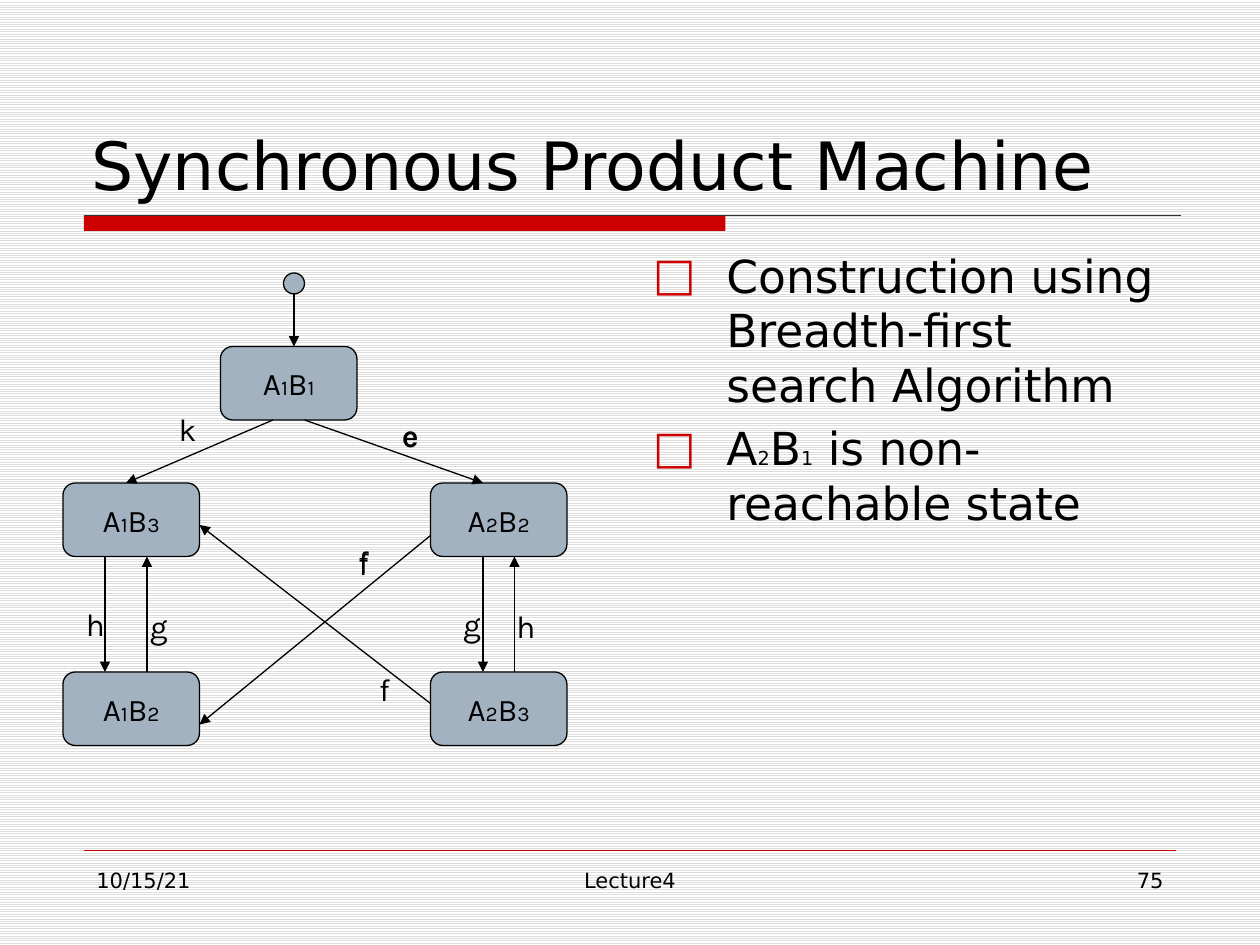
from itertools import groupby

from lxml.etree import SubElement
from pptx import Presentation
from pptx.dml.color import RGBColor
from pptx.enum.dml import MSO_PATTERN
from pptx.enum.shapes import MSO_CONNECTOR, MSO_SHAPE
from pptx.enum.text import MSO_ANCHOR, MSO_AUTO_SIZE, PP_ALIGN
from pptx.oxml.ns import qn
from pptx.util import Pt


def tint(code):
    return RGBColor.from_string(code)


class Sheet:
    sans, hand = "DejaVu Sans", "Karla"
    ink, red, steel = "000000", "CC0000", "A3B2C1"

    def __init__(self, slide):
        self.slide = slide

    def back(self, fore, base):
        fill = self.slide.background.fill
        fill.patterned()
        fill.pattern = MSO_PATTERN.LIGHT_HORIZONTAL
        fill.fore_color.rgb = tint(fore)
        fill.back_color.rgb = tint(base)

    def words(self, para, text, face, size, small=None, align=PP_ALIGN.LEFT, bold=False):
        """Fill a paragraph; digits become index runs when small is given."""
        para.alignment = align
        font = para.font
        font.name, font.size, font.bold = face, Pt(size), bold
        font.color.rgb = tint(self.ink)
        if small is None:
            para.add_run().text = text
            return
        for digit, part in groupby(text, str.isdigit):
            run = para.add_run()
            run.text = "".join(part)
            run.font.size = Pt(small if digit else size)

    def title(self, text, *box):
        shape = self.slide.shapes.title
        shape.left, shape.top, shape.width, shape.height = map(Pt, box)
        frame = shape.text_frame
        frame.auto_size = MSO_AUTO_SIZE.NONE
        frame.vertical_anchor = MSO_ANCHOR.BOTTOM
        self.words(frame.paragraphs[0], text, self.sans, 38)

    def frame(self, box, wrap=True):
        frame = self.slide.shapes.add_textbox(*map(Pt, box)).text_frame
        frame.word_wrap = wrap
        return frame

    def note(self, text, box, align):
        self.words(self.frame(box).paragraphs[0], text, self.sans, 12, align=align)

    def label(self, text, left, top, bold=False):
        frame = self.frame((left, top, 24, 28.8), False)
        self.words(frame.paragraphs[0], text, self.hand, 18, bold=bold)

    def points(self, texts, box):
        frame = self.frame(box)
        for num, text in enumerate(texts):
            para = frame.add_paragraph() if num else frame.paragraphs[0]
            if num:
                para.space_before = Pt(5.2)
            props = para._p.get_or_add_pPr()
            props.set("marL", str(Pt(42)))
            props.set("indent", str(-Pt(42)))
            color = SubElement(props, qn("a:buClr"))
            SubElement(color, qn("a:srgbClr"), val=self.red)
            SubElement(props, qn("a:buFont"), typeface=self.sans)
            SubElement(props, qn("a:buChar"), char="□")
            self.words(para, text, self.sans, 26, 11)

    def shape(self, kind, box, fill, edge=True):
        shape = self.slide.shapes.add_shape(kind, *map(Pt, box))
        shape.shadow.inherit = False
        shape.fill.solid()
        shape.fill.fore_color.rgb = tint(fill)
        if edge:
            shape.line.color.rgb = tint(self.ink)
            shape.line.width = Pt(0.75)
        else:
            shape.line.fill.background()
        return shape

    def state(self, name, left, top):
        shape = self.shape(MSO_SHAPE.ROUNDED_RECTANGLE, (left, top, 78, 42), self.steel)
        frame = shape.text_frame
        frame.word_wrap = False
        frame.vertical_anchor = MSO_ANCHOR.MIDDLE
        self.words(frame.paragraphs[0], name, self.hand, 18, 12, PP_ALIGN.CENTER)

    def line(self, ends, color, width=0.75, arrow=False):
        link = self.slide.shapes.add_connector(MSO_CONNECTOR.STRAIGHT, *map(Pt, ends))
        link.line.color.rgb = tint(color)
        link.line.width = Pt(width)
        props = link._element.spPr
        if arrow:
            SubElement(props.find(qn("a:ln")), qn("a:tailEnd"), type="triangle")
        SubElement(props, qn("a:effectLst"))


def main():
    deck = Presentation()
    deck.slide_width, deck.slide_height = Pt(720), Pt(540)
    sheet = Sheet(deck.slides.add_slide(deck.slide_layouts[5]))
    sheet.back("DDDDDD", "FFFFFF")

    sheet.shape(MSO_SHAPE.RECTANGLE, (48, 123, 366.5, 9), sheet.red, False)
    sheet.line((48, 123, 675, 123), "333333")
    sheet.line((48, 486, 672, 486), sheet.red, 0.25)
    sheet.note("10/15/21", (48, 492, 156, 37.5), PP_ALIGN.LEFT)
    sheet.note("Lecture4", (246, 492, 228, 37.5), PP_ALIGN.CENTER)
    sheet.note("75", (516, 492, 156, 37.5), PP_ALIGN.RIGHT)

    sheet.title("Synchronous Product Machine", 45, 24, 630, 96)
    sheet.points(
        ["Construction using Breadth-first search Algorithm",
         "A2B1 is non-reachable state"],
        (366, 138, 309, 336))

    west, east, upper, lower = 36, 246, 276, 384
    sheet.shape(MSO_SHAPE.OVAL, (162, 156, 12, 12), sheet.steel)
    for name, left, top in [
        ("A1B1", 126, 198),
        ("A2B2", east, upper), ("A1B3", west, upper),
        ("A2B3", east, lower), ("A1B2", west, lower),
    ]:
        sheet.state(name, left, top)

    for ends in [
        (168, 168, 168, 198),
        (156, 240, 72, upper), (174, 240, 276, upper),
        (60, 318, 60, lower), (84, lower, 84, 318),
        (276, 318, 276, lower), (294, lower, 294, 318),
        (east, 306, 114, 414), (east, 402, 114, 300),
    ]:
        sheet.line(ends, sheet.ink, arrow=True)

    for text, left, top in [
        ("k", 95, 230.5), ("h", 42, 342), ("g", 78.5, 343.5),
        ("g", 257.5, 342), ("h", 288, 343.5),
        ("f", 197.5, 307.5), ("f", 197.5, 306), ("f", 209.5, 379.5),
    ]:
        sheet.label(text, left, top)
    sheet.label("e", 222.5, 234, True)

    deck.save("out.pptx")


if __name__ == "__main__":
    main()
